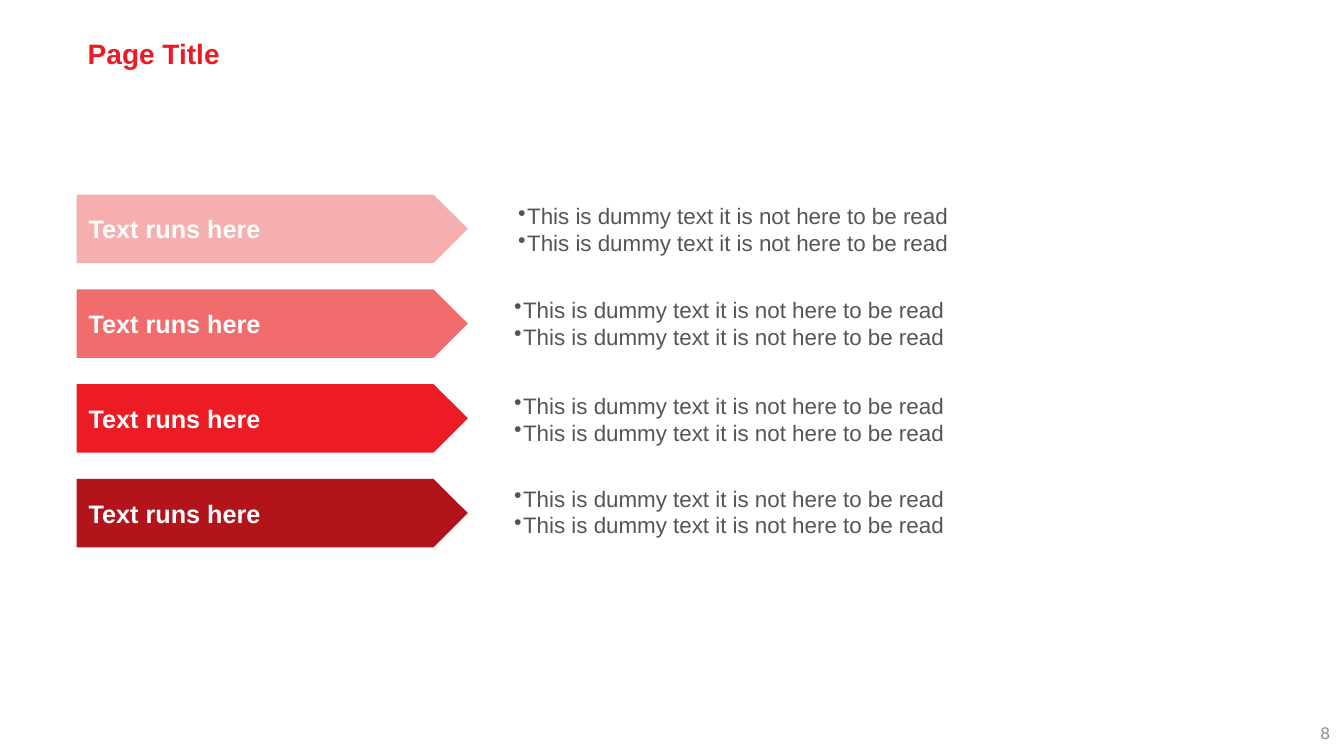
import pptx
import pptx.util
import pptx.dml.color
import pptx.enum.shapes
import pptx.enum.text
import lxml.etree

Inch = pptx.util.Inches
Anchor = pptx.enum.text.MSO_ANCHOR
Align = pptx.enum.text.PP_ALIGN
HUES = {
    "title": "EC1A24", "body": "535659", "page": "8C8C8C", "label": "FFFFFF",
    "pale": "F5AFAF", "rose": "F06C6D", "red": "ED1B24", "dark": "B3141C",
}


def add_run(para, text, size, hue, bold=False):
    run = para.add_run()
    run.text = text
    run.font.name = "Arial"
    run.font.size = pptx.util.Pt(size)
    run.font.bold = bold
    run.font.color.rgb = pptx.dml.color.RGBColor.from_string(HUES[hue])


def add_dot(para):
    props = para._p.get_or_add_pPr()
    props.set("marL", str(Inch(0.09)))
    props.set("indent", str(-Inch(0.09)))
    dot = lxml.etree.SubElement(props, pptx.oxml.ns.qn("a:buChar"))
    dot.set("char", "•")


deck = pptx.Presentation()
deck.slide_width = Inch(13.33)
deck.slide_height = Inch(7.5)
slide = deck.slides.add_slide(deck.slide_layouts[5])

# Title
title = slide.shapes.title
title.left, title.top = Inch(0.77), Inch(0.35)
title.width, title.height = Inch(9.52), Inch(0.39)
frame = title.text_frame
frame.vertical_anchor = Anchor.MIDDLE
head = frame.paragraphs[0]
head.alignment = Align.LEFT
head.line_spacing = 0.9
add_run(head, "Page Title", 20, "title", True)

# Rows: an arrow on the left, its bullets on the right
TOP, STEP, HIGH = 1.93, 0.94, 0.68
rows = [("pale", 5.04, 1.96), ("rose", 5, 2.89), ("red", 5, 3.84), ("dark", 5, 4.76)]
for row, (hue, left, top) in enumerate(rows):
    arrow = slide.shapes.add_shape(
        pptx.enum.shapes.MSO_SHAPE.PENTAGON,
        Inch(0.76), Inch(TOP + row * STEP), Inch(3.88), Inch(HIGH))
    arrow.shadow.inherit = False
    arrow.fill.solid()
    arrow.fill.fore_color.rgb = pptx.dml.color.RGBColor.from_string(HUES[hue])
    arrow.line.fill.background()
    frame = arrow.text_frame
    frame.vertical_anchor = Anchor.MIDDLE
    frame.margin_left = Inch(0.12)
    frame.margin_right = frame.margin_top = frame.margin_bottom = Inch(0.07)
    frame.paragraphs[0].alignment = Align.LEFT
    add_run(frame.paragraphs[0], "Text runs here", 18, "label", True)

    notes = slide.shapes.add_textbox(Inch(left), Inch(top), Inch(5.84), Inch(0.64))
    frame = notes.text_frame
    frame.word_wrap = True
    frame.auto_size = pptx.enum.text.MSO_AUTO_SIZE.SHAPE_TO_FIT_TEXT
    for para in (frame.paragraphs[0], frame.add_paragraph()):
        para.level = 1
        add_dot(para)
        add_run(para, "This is dummy text it is not here to be read", 16, "body")

# Page number
page = slide.shapes.add_textbox(Inch(10.29), Inch(7.07), Inch(3), Inch(0.4))
frame = page.text_frame
frame.word_wrap = True
frame.vertical_anchor = Anchor.MIDDLE
frame.paragraphs[0].alignment = Align.RIGHT
add_run(frame.paragraphs[0], "8", 12, "page")

deck.save("out.pptx")
